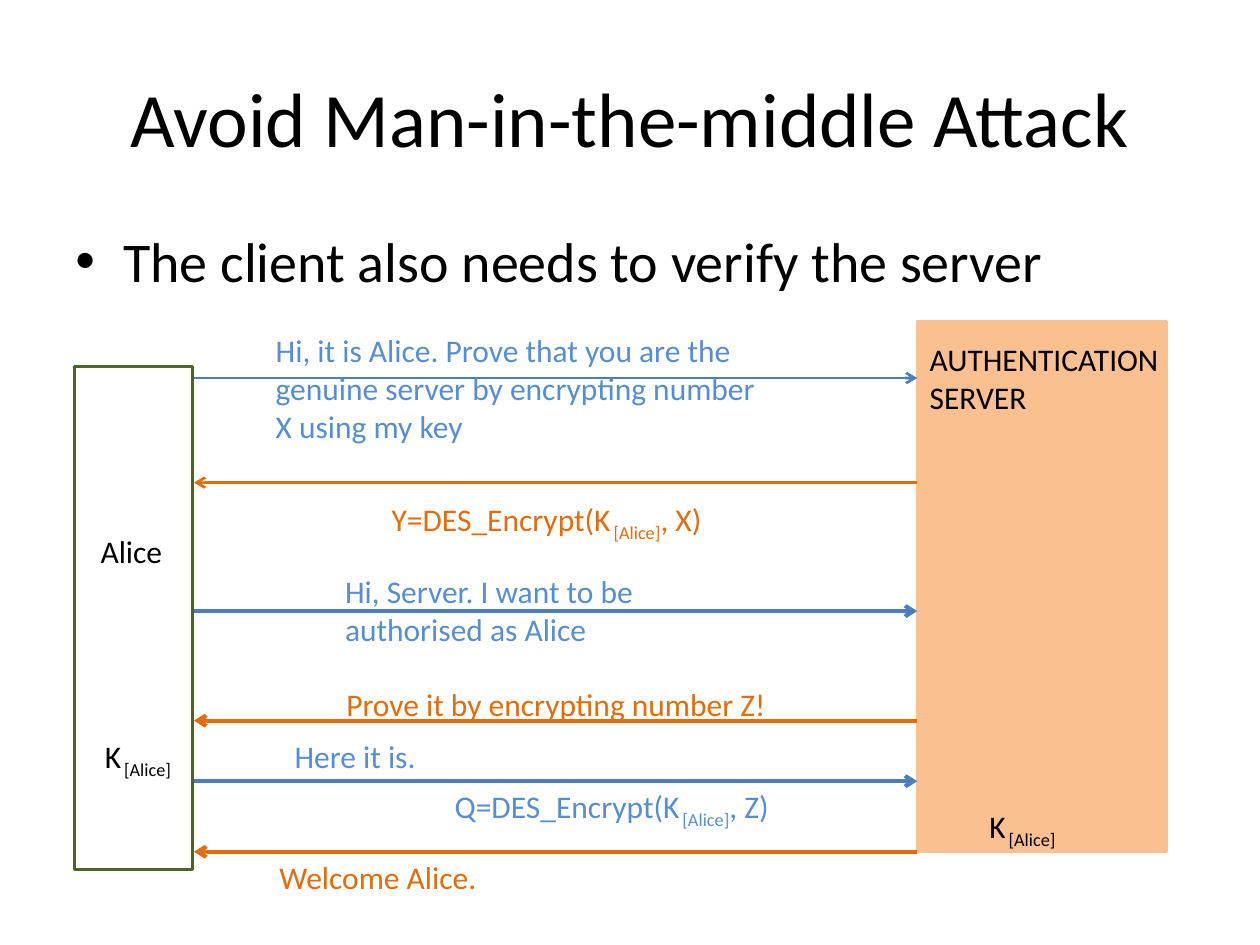
from lxml import etree
from pptx import Presentation
from pptx.dml.color import RGBColor
from pptx.enum import shapes, text
from pptx.oxml import ns
from pptx.util import Inches, Pt

BLACK = RGBColor(0, 0, 0)
WHITE = RGBColor(255, 255, 255)
GREEN = RGBColor(0x4F, 0x62, 0x28)
PEACH = RGBColor(0xFA, 0xC0, 0x90)
ORANGE = RGBColor(0xE4, 0x6C, 0x0A)
BLUE = RGBColor(0x55, 0x8E, 0xD5)
ARROW_BLUE = RGBColor(0x4B, 0x7E, 0xBC)
CLIENT_EDGE, SERVER_EDGE = 1.54, 7.28
KEY = "K| |[Alice]|"

prs = Presentation()
prs.slide_width, prs.slide_height = Inches(10), Inches(7.5)
slide = prs.slides.add_slide(prs.slide_layouts[6])


def add_text(words, box, color=BLACK, size=18, wrap=False, align=None):
    frame = slide.shapes.add_textbox(*map(Inches, box)).text_frame
    frame.word_wrap = wrap
    paragraph = frame.paragraphs[0]
    paragraph.alignment = align
    for i, part in enumerate(words.split("|")):
        if not part:
            continue
        run = paragraph.add_run()
        run.text = part
        run.font.name = "Calibri"
        run.font.size = Pt(12 if part == " " else size)
        run.font.color.rgb = color
        if i in (1, 2):
            run.font._element.set("baseline", "-25000")
    return frame


def add_party(box, fill, line):
    party = slide.shapes.add_shape(shapes.MSO_SHAPE.RECTANGLE, *map(Inches, box))
    party.shadow.inherit = False
    party.fill.solid()
    party.fill.fore_color.rgb = fill
    party.line.color.rgb = line
    party.line.width = Pt(2)


center = text.PP_ALIGN.CENTER
title = add_text("Avoid Man-in-the-middle Attack", (0.5, 0.3, 9, 1.25), size=44, wrap=True, align=center)
title.vertical_anchor = text.MSO_ANCHOR.MIDDLE

body = add_text("The client also needs to verify the server", (0.5, 1.75, 9, 4.95), size=32, wrap=True)
bullet = body.paragraphs[0]._p.get_or_add_pPr()
bullet.set("marL", str(Inches(0.38)))
bullet.set("indent", str(-Inches(0.38)))
etree.SubElement(bullet, ns.qn("a:buFont")).set("typeface", "Arial")
etree.SubElement(bullet, ns.qn("a:buChar")).set("char", "•")

add_party((0.59, 2.91, 0.94, 3.99), WHITE, GREEN)
add_text("Alice", (0.7, 4.17, 0.7, 1.46))
add_text(KEY, (0.7, 5.8, 0.79, 0.4), align=center)

add_party((7.28, 2.55, 1.98, 4.21), PEACH, PEACH)
add_text("AUTHENTICATION SERVER", (7.28, 2.65, 2.03, 0.71), wrap=True)
add_text(KEY, (7.72, 6.36, 0.79, 0.4), align=center)

messages = [
    (3, 1.5, [("Hi, it is Alice. Prove that you are the genuine server by encrypting number X using my key ",
               (2.09, 2.58, 4.14, 1.01), True)]),
    (3.83, 1.5, [(f"Y=DES_Encrypt({KEY}, X)", (3.01, 3.92, 2.8, 0.4), False)]),
    (4.85, 2.25, [("Hi, Server. I want to be authorised as Alice", (2.64, 4.49, 3.46, 0.71), True)]),
    (5.72, 2.25, [("Prove it by encrypting number Z!", (2.65, 5.39, 3.57, 0.4), False)]),
    (6.2, 2.25, [("Here it is. ", (2.24, 5.8, 1.23, 0.4), False),
                 (f"Q=DES_Encrypt({KEY}, Z)", (3.51, 6.2, 2.78, 0.4), False)]),
    (6.76, 2.25, [("Welcome Alice. ", (2.12, 6.76, 1.84, 0.4), False)]),
]
for i, (y, weight, captions) in enumerate(messages):
    from_client = i % 2 == 0
    start, end = (CLIENT_EDGE, SERVER_EDGE) if from_client else (SERVER_EDGE, CLIENT_EDGE)
    arrow = slide.shapes.add_connector(
        shapes.MSO_CONNECTOR.STRAIGHT, Inches(start), Inches(y), Inches(end), Inches(y))
    arrow.line.color.rgb = ARROW_BLUE if from_client else ORANGE
    arrow.line.width = Pt(weight)
    etree.SubElement(arrow.line._get_or_add_ln(), ns.qn("a:tailEnd")).set("type", "arrow")
    etree.SubElement(arrow._element.spPr, ns.qn("a:effectLst"))
    for words, box, wrap in captions:
        add_text(words, box, BLUE if from_client else ORANGE, wrap=wrap)

prs.save("out.pptx")
